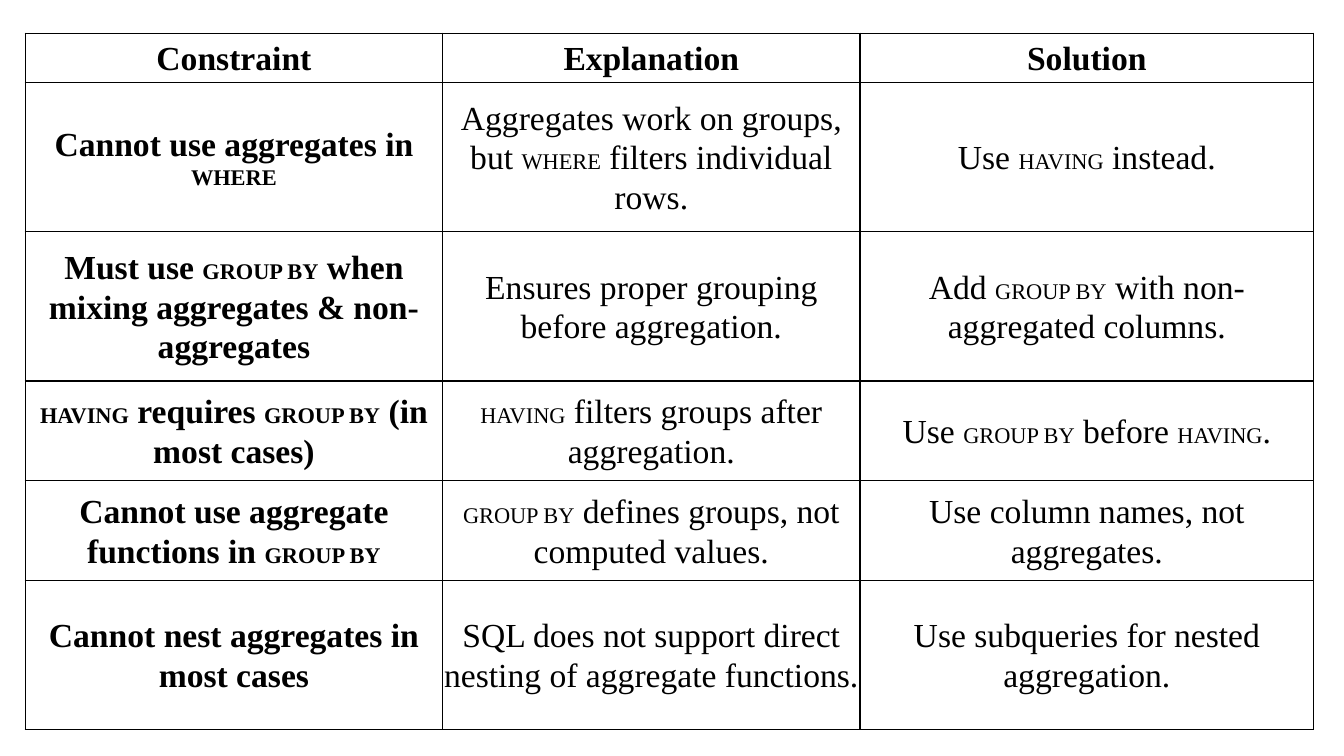
"""Build a slide with a table of SQL aggregate constraints and their solutions."""
import pptx
import pptx.dml.color
import pptx.enum.text
import pptx.oxml
import pptx.oxml.ns
import pptx.util

Inches = pptx.util.Inches
Pt = pptx.util.Pt

COLORS = {"ink": "000000", "paper": "FFFFFF"}
INK = pptx.dml.color.RGBColor.from_string(COLORS["ink"])
PAPER = pptx.dml.color.RGBColor.from_string(COLORS["paper"])
TEXT_SIZE, KEYWORD_SIZE = Pt(24), Pt(16)
COLUMN_WIDTHS = [4.14, 4.14, 4.5]
ROW_HEIGHTS = [0.49, 1.48, 1.48, 0.99, 0.99, 1.48]
KEYWORD_MARK = "|"
ROWS = [
    ["Constraint", "Explanation", "Solution"],
    ["Cannot use aggregates in |WHERE|",
     "Aggregates work on groups, but |WHERE| filters individual rows.",
     "Use |HAVING| instead."],
    ["Must use |GROUP BY| when mixing aggregates & non-aggregates",
     "Ensures proper grouping before aggregation.",
     "Add |GROUP BY| with non-aggregated columns."],
    ["|HAVING| requires |GROUP BY| (in most cases)",
     "|HAVING| filters groups after aggregation.",
     "Use |GROUP BY| before |HAVING|."],
    ["Cannot use aggregate functions in |GROUP BY|",
     "|GROUP BY| defines groups, not computed values.",
     "Use column names, not aggregates."],
    ["Cannot nest aggregates in most cases",
     "SQL does not support direct nesting of aggregate functions.",
     "Use subqueries for nested aggregation."],
]
CELL_FORMAT = {
    "vertical_anchor": pptx.enum.text.MSO_ANCHOR.MIDDLE,
    "margin_left": Inches(0.01),
    "margin_right": Inches(0.01),
    "margin_top": Inches(0.01),
    "margin_bottom": Inches(0.01),
}
PARAGRAPH_FORMAT = {
    "alignment": pptx.enum.text.PP_ALIGN.CENTER,
    "line_spacing": 1.07,
    "space_after": Pt(8),
}


def add_borders(cell):
    properties = cell._tc.get_or_add_tcPr()
    for side in ("lnL", "lnR", "lnT", "lnB"):
        properties.append(pptx.oxml.parse_xml(
            f'<a:{side} {pptx.oxml.ns.nsdecls("a")} w="{Pt(1)}"><a:solidFill>'
            f'<a:srgbClr val="{COLORS["ink"]}"/></a:solidFill></a:{side}>'))


deck = pptx.Presentation()
deck.slide_width, deck.slide_height = Inches(13.33), Inches(7.5)
page = deck.slides.add_slide(deck.slide_layouts[6])

frame = page.shapes.add_table(
    len(ROWS), len(COLUMN_WIDTHS), Inches(0.25), Inches(0.33),
    Inches(sum(COLUMN_WIDTHS)), Inches(sum(ROW_HEIGHTS)))
table = frame.table
table.first_row = False
table.horz_banding = False
for column, width in zip(table.columns, COLUMN_WIDTHS):
    column.width = Inches(width)
for row, height in zip(table.rows, ROW_HEIGHTS):
    row.height = Inches(height)

for row_index, texts in enumerate(ROWS):
    for column_index, text in enumerate(texts):
        cell = table.cell(row_index, column_index)
        add_borders(cell)
        cell.fill.solid()
        cell.fill.fore_color.rgb = PAPER
        for name, value in CELL_FORMAT.items():
            setattr(cell, name, value)
        para = cell.text_frame.paragraphs[0]
        for name, value in PARAGRAPH_FORMAT.items():
            setattr(para, name, value)
        for part_index, part in enumerate(text.split(KEYWORD_MARK)):
            if not part:
                continue
            span = para.add_run()
            span.text = part
            span_format = {
                "name": "Times New Roman",
                "size": KEYWORD_SIZE if part_index % 2 else TEXT_SIZE,
                "bold": row_index == 0 or column_index == 0,
            }
            for name, value in span_format.items():
                setattr(span.font, name, value)
            span.font.color.rgb = INK

deck.save("out.pptx")
